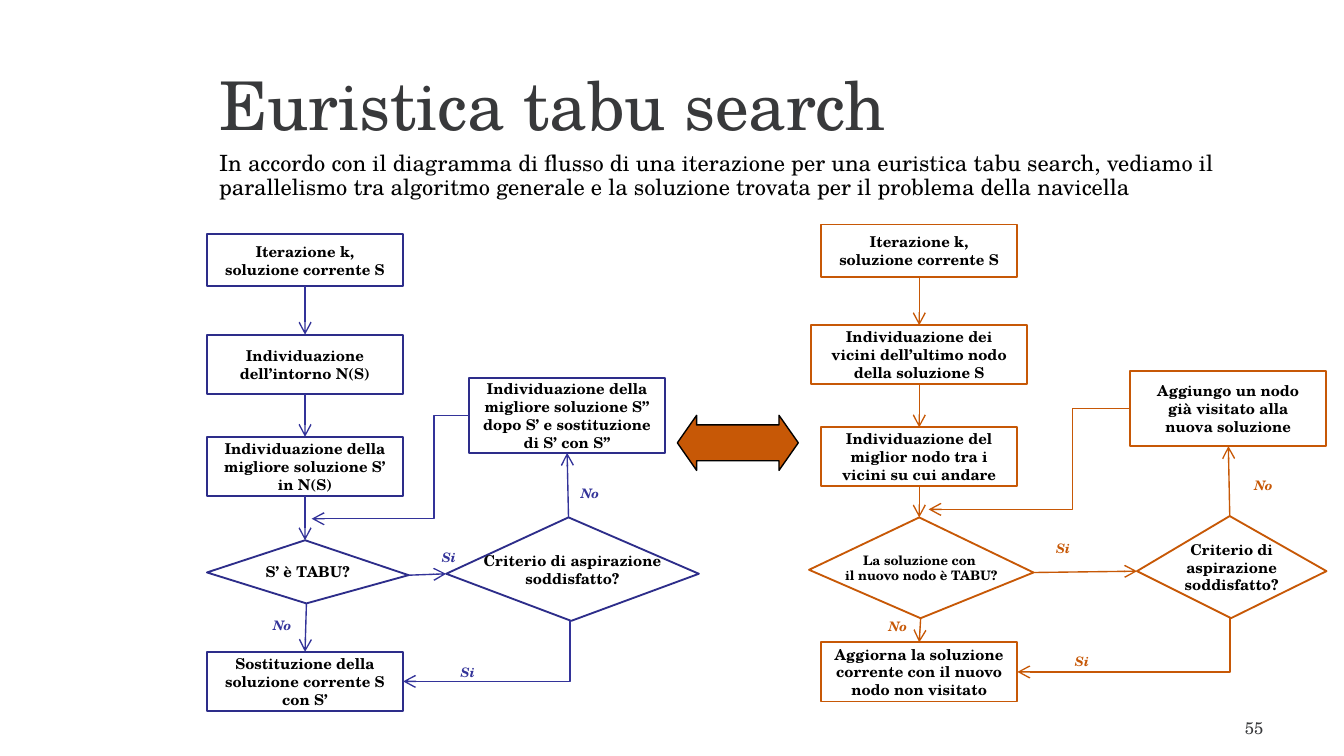
from lxml import etree
from pptx import Presentation
from pptx.dml.color import RGBColor
from pptx.enum.shapes import MSO_CONNECTOR, MSO_SHAPE
from pptx.enum.text import MSO_ANCHOR, MSO_AUTO_SIZE, PP_ALIGN
from pptx.oxml.ns import qn
from pptx.util import Inches, Pt

RECTANGLE = MSO_SHAPE.RECTANGLE
DOUBLE_ARROW = MSO_SHAPE.LEFT_RIGHT_ARROW
STRAIGHT, ELBOW = MSO_CONNECTOR.STRAIGHT, MSO_CONNECTOR.ELBOW
TOP, MIDDLE = MSO_ANCHOR.TOP, MSO_ANCHOR.MIDDLE
LEFT, CENTER, RIGHT = PP_ALIGN.LEFT, PP_ALIGN.CENTER, PP_ALIGN.RIGHT
FONT = "TeX Gyre Schola"
COLORS = {
    "title": "38393B", "text": "000000", "fill": "FFFFFF",
    "blue": "2D2D8A", "blue_arrow": "333399", "orange": "C75806",
}
STEP_TOPS = (1.74, 2.49, 3.25, 4.85)
STEP_HEIGHTS = (0.39, 0.44, 0.44, 0.44)

GENERAL_FLOW = {
    "line": "blue", "arrow": "blue_arrow", "axis": 2.27, "shift": 0,
    "steps": (
        ("Iterazione k, soluzione corrente S", 1.46),
        ("Individuazione dell’intorno N(S)", 1.46),
        ("Individuazione della migliore soluzione S’ in N(S)", 1.46),
        ("Sostituzione della soluzione corrente S con S’", 1.46),
    ),
    "tabu": ("S’ è TABU?", 8, ((2.27, 4.02), (3.04, 4.28), (2.28, 4.49), (1.54, 4.26))),
    "criterion": ((4.23, 3.85), (5.2, 4.27), (4.25, 4.62), (3.32, 4.27)),
    "replacement": ("Individuazione della migliore soluzione S’’ dopo S’ e sostituzione di S’ con S’’",
                    (3.49, 2.81, 1.46, 0.56)),
    "return": (3.23, (2.32, 3.86)),
    "labels": (("Si", 3.34, 4.15), ("Si", 3.48, 5), ("No", 2.1, 4.65), ("No", 4.39, 3.67)),
}
SHIP_FLOW = {
    "line": "orange", "arrow": "orange", "axis": 6.84, "shift": -0.07,
    "steps": (
        ("Iterazione k, soluzione corrente S", 1.46),
        ("Individuazione dei vicini dell’ultimo nodo della soluzione S", 1.61),
        ("Individuazione del miglior nodo tra i vicini su cui andare", 1.46),
        ("Aggiorna la soluzione corrente con il nuovo nodo non visitato", 1.46),
    ),
    "tabu": ("La soluzione con \nil nuovo nodo è TABU?", 7,
             ((6.84, 3.85), (7.69, 4.26), (6.85, 4.6), (6.02, 4.24))),
    "criterion": ((9.15, 3.84), (9.87, 4.25), (9.16, 4.6), (8.46, 4.25)),
    "replacement": ("Aggiungo un nodo già visitato alla nuova soluzione",
                    (8.41, 2.76, 1.46, 0.56)),
    "return": (7.98, (6.91, 3.79)),
    "labels": (("Si", 7.91, 4.08), ("Si", 8.05, 4.92), ("No", 6.68, 4.66), ("No", 9.4, 3.61)),
}


def rgb(name):
    return RGBColor.from_string(COLORS[name])


def write_text(shape, text, size=8, color="text", bold=False, italic=False,
               align=CENTER, anchor=MIDDLE, wrap=True):
    frame = shape.text_frame
    frame.text = text
    frame.word_wrap = wrap
    frame.auto_size = MSO_AUTO_SIZE.NONE
    frame.vertical_anchor = anchor
    for paragraph in frame.paragraphs:
        paragraph.alignment = align
        font = paragraph.runs[0].font
        font.name, font.size = FONT, Pt(size)
        font.bold, font.italic = bold, italic
        font.color.rgb = rgb(color)


def place(shape, left, top, width, height):
    shape.left, shape.top = Inches(left), Inches(top)
    shape.width, shape.height = Inches(width), Inches(height)


def style_shape(shape, fill, line, width=1):
    shape.shadow.inherit = False
    shape.fill.solid()
    shape.fill.fore_color.rgb = rgb(fill)
    shape.line.color.rgb = rgb(line)
    shape.line.width = Pt(width)


def add_box(slide, text, box, line):
    shape = slide.shapes.add_shape(RECTANGLE, *map(Inches, box))
    style_shape(shape, "fill", line)
    write_text(shape, text, bold=True)


def add_decision(slide, text, points, line, size=8):
    corners = [(Inches(x), Inches(y)) for x, y in points]
    builder = slide.shapes.build_freeform(*corners[0])
    builder.add_line_segments(corners[1:], close=True)
    shape = builder.convert_to_shape()
    style_shape(shape, "fill", line)
    write_text(shape, text, size=size, bold=True)


def add_arrow(slide, start, end, color, bend=None):
    kind = STRAIGHT if bend is None else ELBOW
    connector = slide.shapes.add_connector(kind, *map(Inches, (*start, *end)))
    connector.line.color.rgb = rgb(color)
    connector.line.width = Pt(0.75)
    properties = connector._element.spPr
    etree.SubElement(properties.find(qn("a:ln")), qn("a:tailEnd"), type="arrow")
    etree.SubElement(properties, qn("a:effectLst"))
    if bend is not None:
        ratio = round((start[0] - bend) / (start[0] - end[0]) * 100000)
        geometry = properties.find(qn("a:prstGeom"))
        adjustments = geometry.find(qn("a:avLst"))
        etree.SubElement(adjustments, qn("a:gd"), name="adj1", fmla=f"val {ratio}")


def add_label(slide, text, center_x, center_y, color):
    width, height = 0.36, 0.2
    box = (center_x - width / 2, center_y - height / 2, width, height)
    label = slide.shapes.add_textbox(*map(Inches, box))
    write_text(label, text, size=7, color=color, bold=True, italic=True, wrap=False)


def add_flow(slide, flow):
    line, arrow, axis = flow["line"], flow["arrow"], flow["axis"]
    tops = [top + flow["shift"] for top in STEP_TOPS]
    bottoms = [top + height for top, height in zip(tops, STEP_HEIGHTS)]
    for (text, width), top, height in zip(flow["steps"], tops, STEP_HEIGHTS):
        add_box(slide, text, (axis - width / 2, top, width, height), line)

    tabu_text, tabu_size, tabu = flow["tabu"]
    criterion = flow["criterion"]
    add_decision(slide, tabu_text, tabu, line, tabu_size)
    add_decision(slide, "Criterio di aspirazione soddisfatto?", criterion, line)

    replacement_text, replacement = flow["replacement"]
    add_box(slide, replacement_text, replacement, line)
    left, top, width, height = replacement

    targets = (tops[1], tops[2], tabu[0][1])
    for start_y, end_y in zip(bottoms, targets):
        add_arrow(slide, (axis, start_y), (axis, end_y), arrow)
    add_arrow(slide, tabu[2], (axis, tops[3]), arrow)
    add_arrow(slide, tabu[1], criterion[3], arrow)
    add_arrow(slide, criterion[0], (left + width / 2, top + height), arrow)

    update_right = axis + flow["steps"][3][1] / 2
    update_middle = (tops[3] + bottoms[3]) / 2
    add_arrow(slide, criterion[2], (update_right, update_middle), arrow,
              bend=criterion[2][0] - 0.01)
    bend, end = flow["return"]
    add_arrow(slide, (left, top + height / 2), end, arrow, bend=bend)

    for text, center_x, center_y in flow["labels"]:
        add_label(slide, text, center_x, center_y, arrow)


def add_heading(slide):
    title, body = slide.placeholders
    place(title, 1.53, 0.27, 8.03, 1)
    write_text(title, "Euristica tabu search", size=36, color="title", align=LEFT)

    place(body, 1.53, 1.08, 8.11, 0.53)
    write_text(body, "In accordo con il diagramma di flusso di una iterazione per una "
               "euristica tabu search, vediamo il parallelismo tra algoritmo generale e "
               "la soluzione trovata per il problema della navicella",
               size=12, align=LEFT, anchor=TOP)
    paragraph = body.text_frame.paragraphs[0]
    paragraph.line_spacing = 0.9
    paragraph.space_before = Pt(2.4)
    properties = paragraph._p.get_or_add_pPr()
    properties.set("marL", "0")
    properties.set("indent", "0")
    etree.SubElement(properties, qn("a:buNone"))


def add_parallel_arrow(slide):
    shape = slide.shapes.add_shape(DOUBLE_ARROW, *map(Inches, (5.04, 3.09, 0.9, 0.41)))
    style_shape(shape, "orange", "text", 0.75)
    shape.adjustments[0] = 0.65
    shape.adjustments[1] = 0.35


def add_page_number(slide):
    number = slide.shapes.add_textbox(*map(Inches, (7.17, 5.29, 2.33, 0.22)))
    write_text(number, "55", size=9, color="title", align=RIGHT, anchor=TOP)


def main():
    presentation = Presentation()
    presentation.slide_width = Inches(10)
    presentation.slide_height = Inches(10 * 9 / 16)
    slide = presentation.slides.add_slide(presentation.slide_layouts[1])
    add_heading(slide)
    add_page_number(slide)
    for flow in (GENERAL_FLOW, SHIP_FLOW):
        add_flow(slide, flow)
    add_parallel_arrow(slide)
    presentation.save("out.pptx")


if __name__ == "__main__":
    main()
